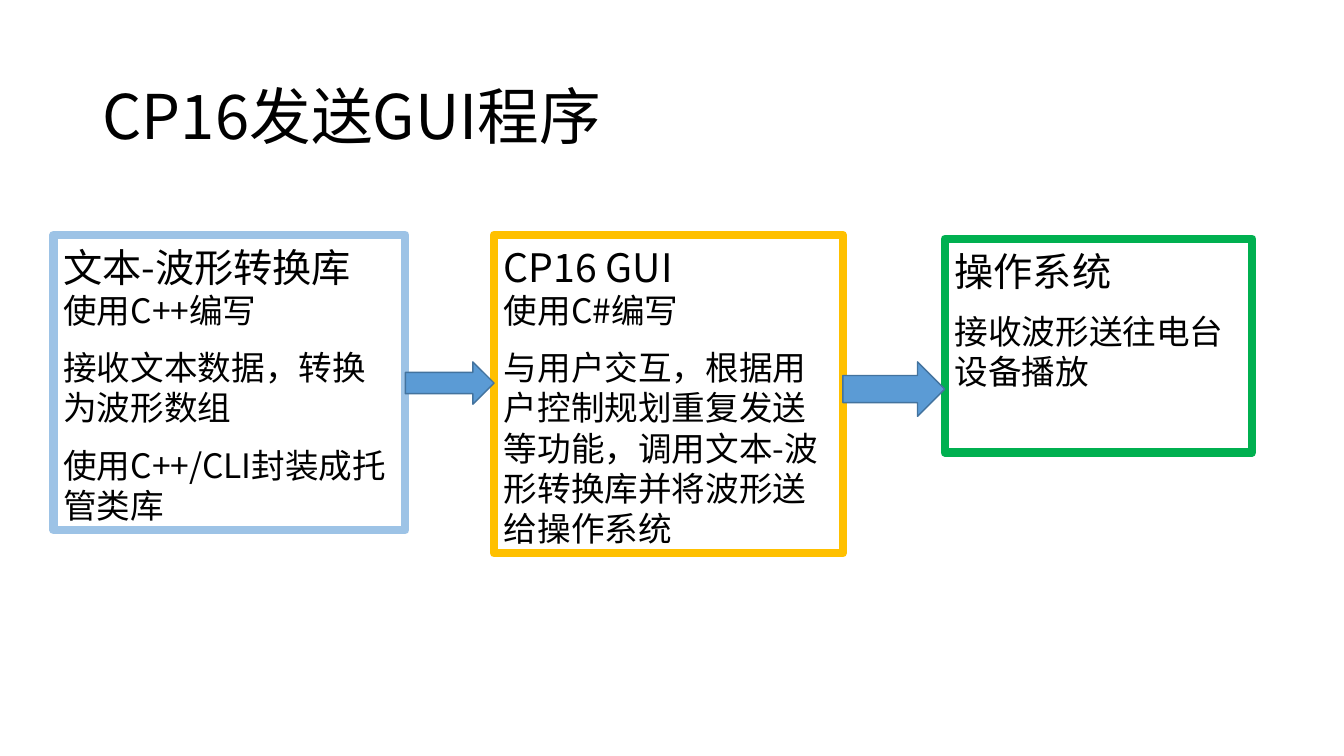
from pptx import Presentation
from pptx.dml.color import RGBColor
from pptx.enum.shapes import MSO_SHAPE as Kind
from pptx.enum.text import MSO_ANCHOR as Anchor, PP_ALIGN as Align
from pptx.oxml.ns import qn
from pptx.util import Inches, Pt
from lxml.etree import SubElement

SC, JP = "Noto Sans CJK SC", "Noto Sans CJK JP"
TITLE = "CP16发送GUI程序"
BOXES = [
    {"at": (0.53, 2.33, 3.49, 2.93), "edge": "9DC3E6", "head": "文本-波形转换库",
     "body": ["使用C++编写", "接收文本数据，转换为波形数组", "使用C++/CLI封装成托管类库"]},
    {"at": (4.9, 2.33, 3.46, 3.16), "edge": "FFC000", "head": "CP16 GUI",
     "body": ["使用C#编写", "与用户交互，根据用户控制规划重复发送等功能，调用文本-波形转换库并将波形送给操作系统"]},
    {"at": (9.37, 2.37, 3.05, 2.12), "edge": "00B050", "head": "操作系统", "gap": 12,
     "body": ["接收波形送往电台设备播放"]},
]
ARROW_TOP, ARROW_TALL = 3.59, (0.42, 0.54)


def color(code):
    return RGBColor.from_string(code)


def write(frame, lines, top=0.08, anchor=Anchor.TOP):
    frame.word_wrap = True
    frame.vertical_anchor = anchor
    frame.margin_top = Inches(top)
    for i, (text, form) in enumerate(lines):
        para = frame.paragraphs[0] if i == 0 else frame.add_paragraph()
        put(para, text, **form)


def put(para, text, size=24, face=SC, pitch=1.2, before=0, after=0):
    para.alignment = Align.LEFT
    para.line_spacing = Pt(round(size * pitch, 1))
    para.space_before, para.space_after = Pt(before), Pt(after)
    run = para.add_run()
    run.text = text
    run.font.size, run.font.name = Pt(size), face
    run.font.color.rgb = color("000000")
    SubElement(run.font._element, qn("a:ea")).set("typeface", face)


def draw(slide, kind, at, edge, width, fill=None):
    shape = slide.shapes.add_shape(kind, *map(Inches, at))
    shape.shadow.inherit = False
    if fill:
        shape.fill.solid()
        shape.fill.fore_color.rgb = color(fill)
    else:
        shape.fill.background()
    shape.line.color.rgb = color(edge)
    shape.line.width = Pt(width)
    return shape


def main():
    """Build the slide of three program parts joined by block arrows."""
    deck = Presentation()
    deck.slide_width, deck.slide_height = Inches(13.33), Inches(7.5)
    slide = deck.slides.add_slide(deck.slide_layouts[6])
    title = slide.shapes.add_textbox(*map(Inches, (0.92, 0.4, 11.5, 1.45)))
    write(title.text_frame, [(TITLE, {"size": 44, "pitch": 1.08})], 0.15, Anchor.MIDDLE)

    for box in BOXES:
        shape = draw(slide, Kind.RECTANGLE, box["at"], box["edge"], 6)
        SubElement(shape.line._get_or_add_ln(), qn("a:round"))
        gap = box.get("gap", 0)
        form = {"before": gap, "after": 12 - gap}
        lines = [(box["head"], {"size": 28, "face": JP})]
        write(shape.text_frame, lines + [(text, form) for text in box["body"]])

    for prev, after, tall in zip(BOXES, BOXES[1:], ARROW_TALL):
        left = prev["at"][0] + prev["at"][2]
        at = (left, ARROW_TOP, after["at"][0] - left, tall)
        draw(slide, Kind.RIGHT_ARROW, at, "43739E", 1, "5B9BD5")

    deck.save("out.pptx")


if __name__ == "__main__":
    main()
